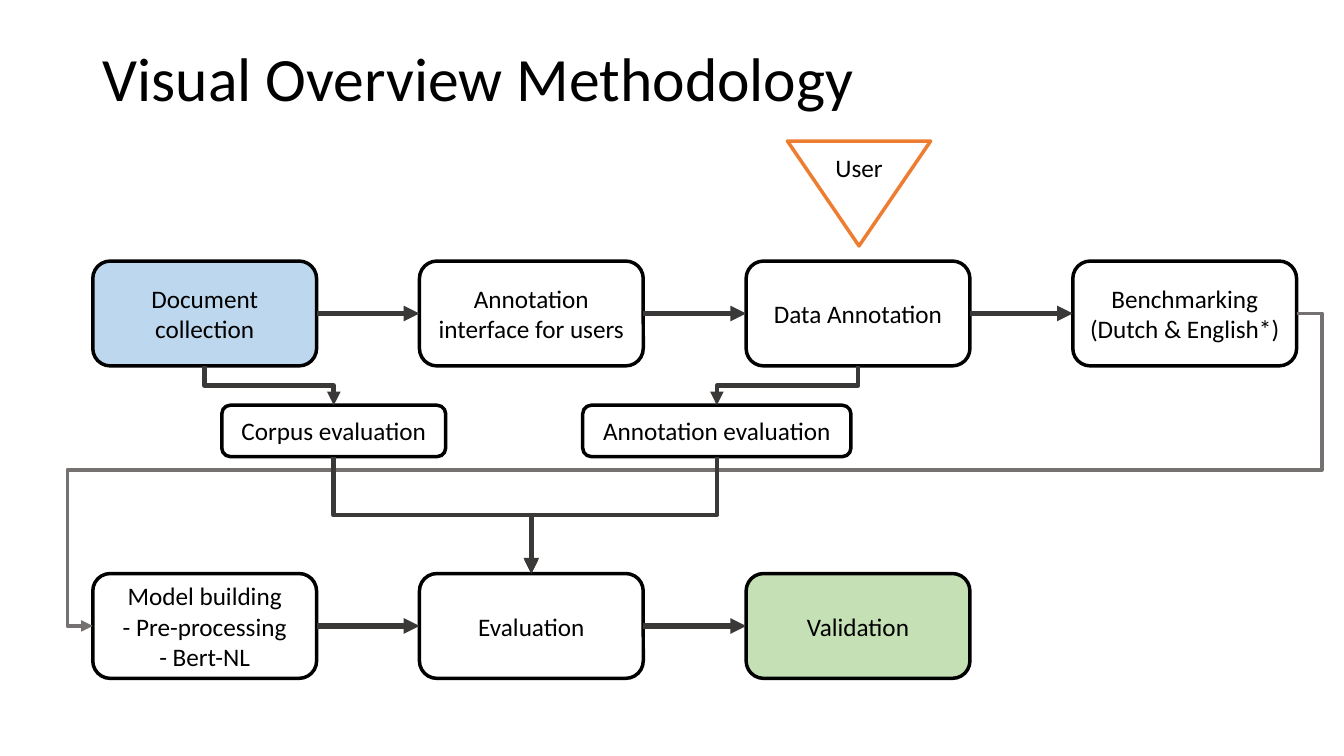
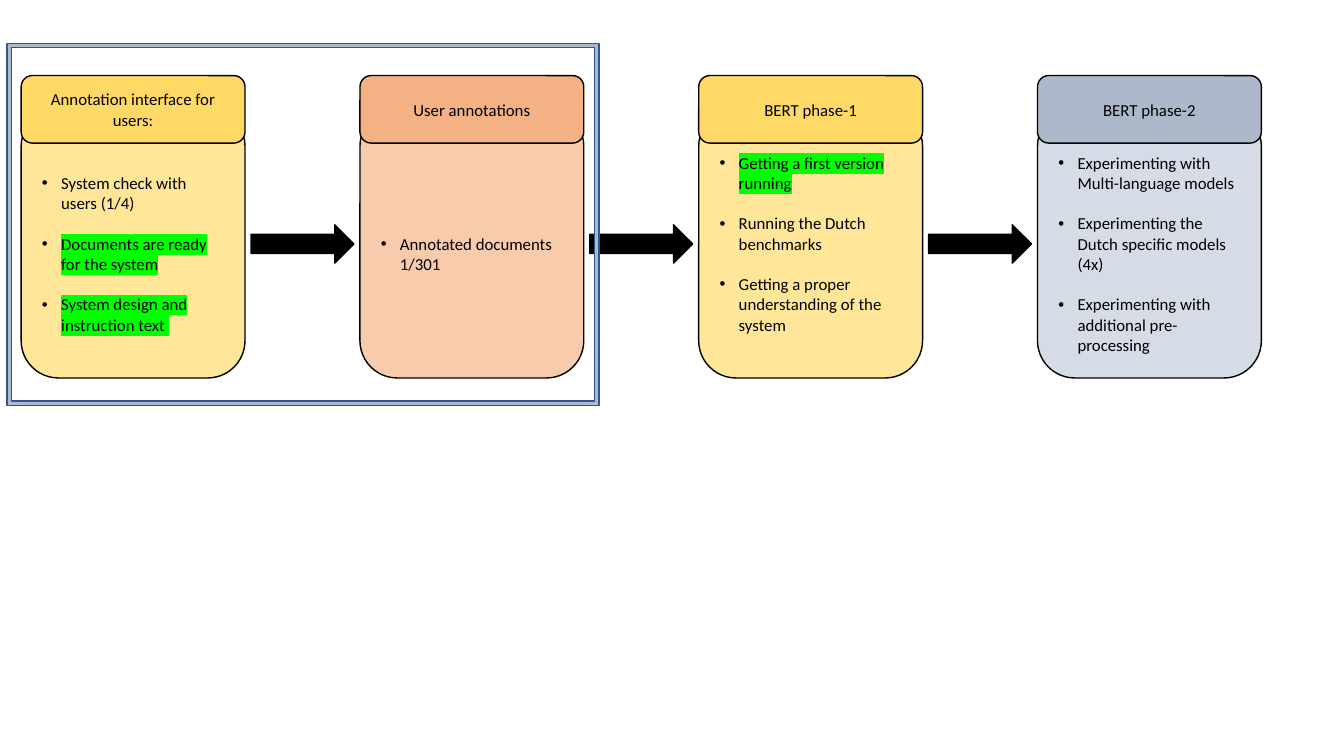
from lxml.etree import SubElement
from pptx import Presentation
from pptx.dml.color import RGBColor
from pptx.enum.shapes import MSO_CONNECTOR, MSO_SHAPE
from pptx.enum.text import MSO_ANCHOR, PP_ALIGN
from pptx.oxml.ns import qn
from pptx.util import Inches, Pt

# Shared style
FONT = "Calibri"
BLACK = RGBColor(0x00, 0x00, 0x00)
WHITE = RGBColor(0xFF, 0xFF, 0xFF)
BLUE = RGBColor(0xBD, 0xD7, 0xEE)
GREEN = RGBColor(0xC5, 0xE0, 0xB4)
ORANGE = RGBColor(0xED, 0x7D, 0x31)
DARK_GRAY = RGBColor(0x3B, 0x38, 0x38)
MID_GRAY = RGBColor(0x76, 0x71, 0x71)
YELLOW = RGBColor(0xFF, 0xD9, 0x66)
PALE_YELLOW = RGBColor(0xFF, 0xE6, 0x99)
PEACH = RGBColor(0xF4, 0xB1, 0x83)
PALE_PEACH = RGBColor(0xF8, 0xCB, 0xAD)
SLATE = RGBColor(0xAD, 0xB9, 0xCA)
PALE_SLATE = RGBColor(0xD6, 0xDC, 0xE5)
FRAME_BLUE = RGBColor(0x32, 0x54, 0x91)
MARKER_GREEN = RGBColor(0x00, 0xFF, 0x00)

BOX_WIDTH = 2.22
BLANK_LINE = 14.65  # points, one 12-point line
TOP, LEFT, BOTTOM, RIGHT = range(4)  # connection sites


def write_text(paragraph, text, size=18, align=PP_ALIGN.CENTER, bullet=False,
               highlight=None, space_before=0, line_spacing=None):
    paragraph.alignment = align
    paragraph.space_before = Pt(space_before)
    if line_spacing:
        paragraph.line_spacing = line_spacing
    run = paragraph.add_run()
    run.text = text
    run.font.name = FONT
    run.font.size = Pt(size)
    run.font.color.rgb = BLACK
    if highlight:
        fill = run.font._element.find(qn("a:solidFill"))
        marker = SubElement(run.font._element, qn("a:highlight"))
        SubElement(marker, qn("a:srgbClr"), val=str(highlight))
        fill.addnext(marker)
    if bullet:
        properties = paragraph._p.get_or_add_pPr()
        properties.set("marL", str(Inches(0.19)))
        properties.set("indent", str(-Inches(0.19)))
        SubElement(properties, qn("a:buFont"), typeface="Arial")
        SubElement(properties, qn("a:buChar"), char="•")


def add_box(slide, kind, left, top, width, height, fill, lines=(),
            border=BLACK, border_width=2.5, **text_format):
    shape = slide.shapes.add_shape(
        kind, Inches(left), Inches(top), Inches(width), Inches(height))
    shape.shadow.inherit = False
    shape.fill.solid()
    shape.fill.fore_color.rgb = fill
    shape.line.color.rgb = border
    shape.line.width = Pt(border_width)
    frame = shape.text_frame
    frame.word_wrap = True
    frame.vertical_anchor = MSO_ANCHOR.MIDDLE
    for index, line in enumerate(lines):
        paragraph = frame.add_paragraph() if index else frame.paragraphs[0]
        write_text(paragraph, line, **text_format)
    return shape


def add_title(slide, text):
    box = slide.shapes.add_textbox(
        Inches(0.92), Inches(0.08), Inches(11.5), Inches(1.45))
    box.text_frame.word_wrap = True
    box.text_frame.vertical_anchor = MSO_ANCHOR.MIDDLE
    write_text(box.text_frame.paragraphs[0], text, size=44,
               align=PP_ALIGN.LEFT, line_spacing=0.9)


def style_arrow(connector, color, width):
    connector.line.color.rgb = color
    connector.line.width = Pt(width)
    SubElement(connector.line._get_or_add_ln(), qn("a:tailEnd"), type="triangle")
    SubElement(connector._element.spPr, qn("a:effectLst"))


def connect(slide, kind, source, source_site, target, target_site,
            color=DARK_GRAY, width=3.75):
    connector = slide.shapes.add_connector(kind, 0, 0, 0, 0)
    connector.begin_connect(source, source_site)
    connector.end_connect(target, target_site)
    style_arrow(connector, color, width)
    return connector


def connect_down(slide, source, target):
    """Elbow that leaves downwards: a horizontal elbow turned a quarter."""
    connector = connect(slide, MSO_CONNECTOR.ELBOW, source, BOTTOM, target, TOP,
                        width=3.25)
    start_x, start_y = connector.begin_x, connector.begin_y
    end_x, end_y = connector.end_x, connector.end_y
    across, down = abs(end_x - start_x), end_y - start_y
    connector.left = (start_x + end_x - down) // 2
    connector.top = (start_y + end_y - across) // 2
    connector.width, connector.height = down, across
    to_right = end_x > start_x
    transform = connector._element.spPr.find(qn("a:xfrm"))
    transform.set("rot", str((270 if to_right else 90) * 60000))
    transform.set("flipH", "1" if to_right else "0")


def connect_around(slide, source, target):
    """Five-part elbow from the right of one row to the left of the next."""
    connector = connect(slide, MSO_CONNECTOR.ELBOW, source, RIGHT, target, LEFT,
                        color=MID_GRAY, width=2.75)
    geometry = connector._element.spPr.find(qn("a:prstGeom"))
    geometry.set("prst", "bentConnector5")
    guides = geometry.find(qn("a:avLst"))
    if guides is None:
        guides = SubElement(geometry, qn("a:avLst"))
    for number, value in enumerate((-2100, 50000, 102100), start=1):
        SubElement(guides, qn("a:gd"), name=f"adj{number}", fmla=f"val {value}")


def add_step_row(slide, left, top, steps):
    """Row of equal boxes joined by straight arrows."""
    boxes = [add_box(slide, MSO_SHAPE.ROUNDED_RECTANGLE, left + 3.24 * column,
                     top, BOX_WIDTH, 1.04, fill, lines)
             for column, (fill, lines) in enumerate(steps)]
    for source, target in zip(boxes, boxes[1:]):
        connect(slide, MSO_CONNECTOR.STRAIGHT, source, RIGHT, target, LEFT)
    return boxes


def build_methodology(slide):
    add_title(slide, "Visual Overview Methodology")

    # Main steps
    collection, _, annotation, benchmarking = add_step_row(slide, 0.92, 2.59, [
        (BLUE, ["Document collection"]),
        (WHITE, ["Annotation interface for users"]),
        (WHITE, ["Data Annotation"]),
        (WHITE, ["Benchmarking (Dutch & English*)"]),
    ])
    model, evaluation, _ = add_step_row(slide, 0.92, 5.69, [
        (WHITE, ["Model building", "- Pre-processing", "- Bert-NL"]),
        (WHITE, ["Evaluation"]),
        (GREEN, ["Validation"]),
    ])
    add_box(slide, MSO_SHAPE.FLOWCHART_MERGE, 7.81, 1.4, 1.42, 1.04, WHITE,
            ["User"], border=ORANGE)
    connect_around(slide, benchmarking, model)

    # Intermediate evaluations
    for source, left, width, label in (
            (collection, 2.2, BOX_WIDTH, "Corpus evaluation"),
            (annotation, 5.78, 2.66, "Annotation evaluation")):
        check = add_box(slide, MSO_SHAPE.ROUNDED_RECTANGLE, left, 4.02, width,
                        0.51, WHITE, [label])
        connect_down(slide, source, check)
        connect_down(slide, check, evaluation)
    arrow = slide.shapes.add_connector(
        MSO_CONNECTOR.STRAIGHT, Inches(5.27), Inches(5.42), Inches(5.27), Inches(5.69))
    style_arrow(arrow, DARK_GRAY, 3.75)


def add_phase_card(slide, left, top, heading, head_fill, body_fill, items,
                   blank_after=False):
    """Card with a header tab; items are (text, done) pairs."""
    body = add_box(slide, MSO_SHAPE.ROUNDED_RECTANGLE, left, top + 0.33,
                   BOX_WIDTH, 2.67, body_fill, border_width=1)
    frame = body.text_frame
    frame.margin_top = Inches(0.25)
    frame.margin_bottom = Inches(0.25 if blank_after else 0.05)
    for index, (text, done) in enumerate(items):
        paragraph = frame.add_paragraph() if index else frame.paragraphs[0]
        write_text(paragraph, text, size=12, align=PP_ALIGN.LEFT, bullet=True,
                   highlight=MARKER_GREEN if done else None,
                   space_before=BLANK_LINE if index else 0)
    add_box(slide, MSO_SHAPE.ROUNDED_RECTANGLE, left, top, BOX_WIDTH, 0.67,
            head_fill, [heading], border_width=1, size=12)


def build_phases(slide):
    left, top, pitch = 0.21, 0.75, 3.36
    phases = [
        ("Annotation interface for users:", YELLOW, PALE_YELLOW, [
            ("System check with users (1/4)", False),
            ("Documents are ready for the system", True),
            ("System design and instruction text ", True)]),
        ("User annotations", PEACH, PALE_PEACH, [
            ("Annotated documents 1/301", False)]),
        ("BERT phase-1", YELLOW, PALE_YELLOW, [
            ("Getting a first version running", True),
            ("Running the Dutch benchmarks", False),
            ("Getting a proper understanding of the system", False)], True),
        ("BERT phase-2", SLATE, PALE_SLATE, [
            ("Experimenting with Multi-language models", False),
            ("Experimenting the Dutch specific models (4x)", False),
            ("Experimenting with additional pre-processing", False)]),
    ]
    for column, phase in enumerate(phases):
        add_phase_card(slide, left + pitch * column, top, *phase)

    # Arrows between the cards
    for column in range(len(phases) - 1):
        add_box(slide, MSO_SHAPE.RIGHT_ARROW, left + 2.28 + pitch * column,
                top + 1.48, 1.02, 0.38, BLACK, border_width=1)

    # Frame around the current phases
    frame = add_box(slide, MSO_SHAPE.FRAME, 0.07, 0.43, 5.87, 3.59, SLATE,
                    border=FRAME_BLUE, border_width=1)
    frame.adjustments[0] = 0.012


def main():
    presentation = Presentation()
    presentation.slide_width = Inches(13.33)
    presentation.slide_height = Inches(7.5)
    blank = presentation.slide_layouts[6]
    for build in (build_methodology, build_phases):
        build(presentation.slides.add_slide(blank))
    presentation.save("out.pptx")


if __name__ == "__main__":
    main()
